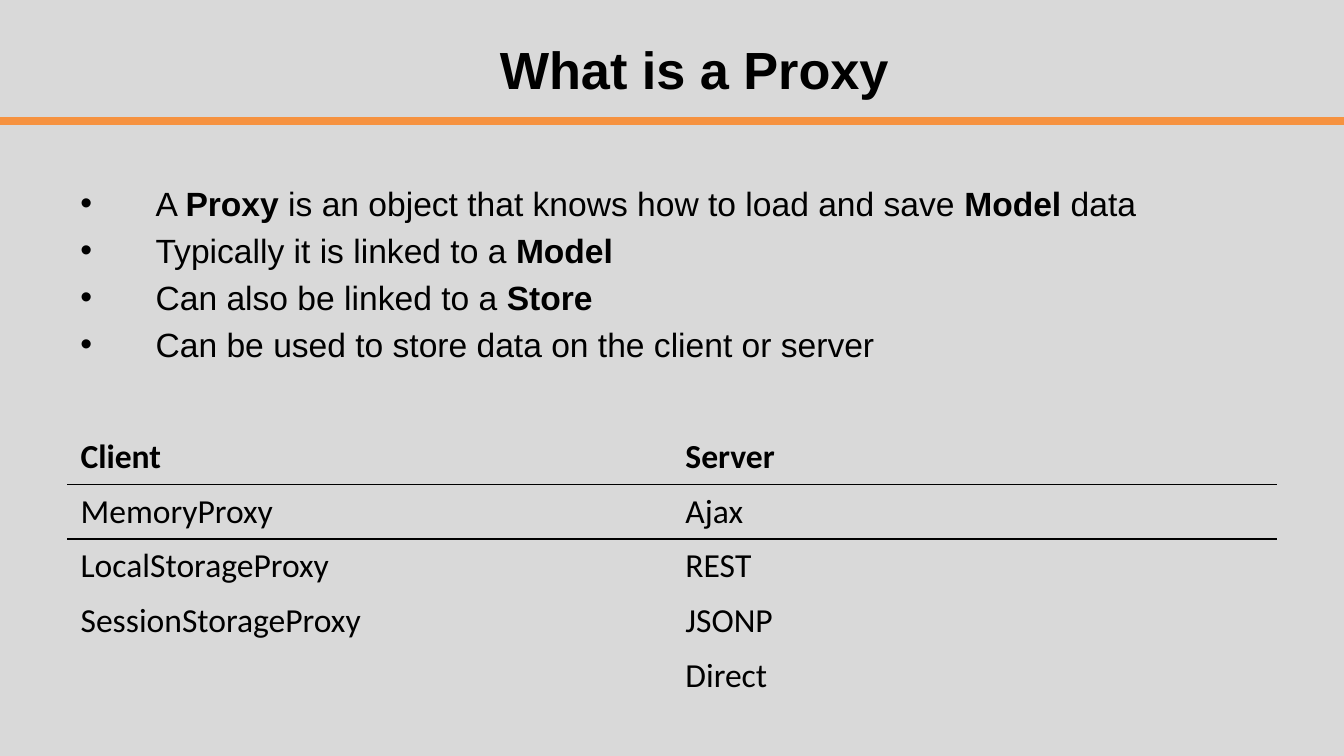
"""Build a slide that explains what a Proxy is."""
from lxml.etree import SubElement
from pptx import Presentation
from pptx.dml.color import RGBColor
from pptx.enum.shapes import MSO_CONNECTOR
from pptx.enum.text import MSO_ANCHOR, PP_ALIGN
from pptx.oxml.ns import qn
from pptx.util import Inches, Pt

COLORS = {"background": "D9D9D9", "text": "000000", "accent": "F69240"}
TITLE_FONT = {"name": "Arial", "size": Pt(28), "bold": True}
BODY_FONT = {"name": "Arial", "size": Pt(18), "bold": False}
TABLE_FONT = {"name": "Calibri", "size": Pt(18), "bold": False}
NO_STYLE_NO_GRID = "{2D5ABB26-0587-4C30-8999-92F81FD0307C}"

BULLETS = [
    [("A ", False), ("Proxy ", True),
     ("is an object that knows how to load and save ", False),
     ("Model", True), (" data", False)],
    [("Typically it is linked to a ", False), ("Model", True)],
    [("Can also be linked to a ", False), ("Store", True)],
    [("Can be used to store data on the client or server", False)],
]
PROXIES = [
    ("Client", "Server"),
    ("MemoryProxy", "Ajax"),
    ("LocalStorageProxy", "REST"),
    ("SessionStorageProxy", "JSONP"),
    ("", "Direct"),
]
ROW_BORDERS = {0: "lnB", 1: "lnT"}


def set_attributes(target, values):
    """Set each named attribute on the target."""
    for name, value in values.items():
        setattr(target, name, value)


def add_run(paragraph, text, font_values):
    """Add one formatted run to a paragraph."""
    run = paragraph.add_run()
    run.text = text
    set_attributes(run.font, font_values)
    run.font.color.rgb = RGBColor.from_string(COLORS["text"])


def add_text_frame(slide, left, top, width, height, anchor):
    """Add a wrapping text box and return its text frame."""
    box = slide.shapes.add_textbox(
        Inches(left), Inches(top), Inches(width), Inches(height))
    set_attributes(box.text_frame, {"word_wrap": True, "vertical_anchor": anchor})
    return box.text_frame


def add_title(slide, text):
    """Add the centred slide title."""
    frame = add_text_frame(slide, 1, 0.23, 8.33, 0.56, MSO_ANCHOR.MIDDLE)
    paragraph = frame.paragraphs[0]
    paragraph.alignment = PP_ALIGN.CENTER
    add_run(paragraph, text, TITLE_FONT)


def add_rule(slide, top):
    """Add the accent line across the slide."""
    rule = slide.shapes.add_connector(
        MSO_CONNECTOR.STRAIGHT, 0, Inches(top), Inches(10), Inches(top))
    rule.line.color.rgb = RGBColor.from_string(COLORS["accent"])
    rule.line.width = Pt(4.5)
    SubElement(rule.element.spPr, qn("a:effectLst"))


def add_bullets(slide, bullets):
    """Add the bulleted list with bold key words."""
    frame = add_text_frame(slide, 0.5, 1.31, 9, 3.71, MSO_ANCHOR.TOP)
    for index, runs in enumerate(bullets):
        paragraph = frame.add_paragraph() if index else frame.paragraphs[0]
        paragraph.space_before = Pt(3.6)
        properties = paragraph._p.get_or_add_pPr()
        properties.set("marL", str(Inches(0.56)))
        properties.set("indent", str(-Inches(0.56)))
        SubElement(properties, qn("a:buFont"), typeface="Arial")
        SubElement(properties, qn("a:buChar"), char="•")
        for text, bold in runs:
            add_run(paragraph, text, {**BODY_FONT, "bold": bold})


def add_cell_border(cell, side):
    """Draw a thin border on one side of a cell."""
    properties = cell._tc.get_or_add_tcPr()
    border = properties.makeelement(qn(f"a:{side}"), {"w": str(Pt(1))})
    fill = SubElement(border, qn("a:solidFill"))
    SubElement(fill, qn("a:srgbClr"), val=COLORS["text"])
    properties.insert(0, border)


def add_table(slide, rows):
    """Add the table of client and server proxies."""
    height = Inches(2.03)
    table = slide.shapes.add_table(
        len(rows), len(rows[0]), Inches(0.5), Inches(3.2),
        Inches(9), height).table
    set_attributes(table, {"first_row": False, "horz_banding": False})
    table._tbl.tblPr.find(qn("a:tableStyleId")).text = NO_STYLE_NO_GRID
    for row_index, row in enumerate(rows):
        for column_index, text in enumerate(row):
            cell = table.cell(row_index, column_index)
            cell.fill.background()
            if text:
                add_run(cell.text_frame.paragraphs[0], text,
                        {**TABLE_FONT, "bold": row_index == 0})
            if row_index in ROW_BORDERS:
                add_cell_border(cell, ROW_BORDERS[row_index])


def main():
    """Build and save the presentation."""
    presentation = Presentation()
    set_attributes(presentation, {"slide_width": Inches(10),
                                  "slide_height": Inches(10) * 9 // 16})
    slide = presentation.slides.add_slide(presentation.slide_layouts[6])
    background = slide.background.fill
    background.solid()
    background.fore_color.rgb = RGBColor.from_string(COLORS["background"])
    add_title(slide, "What is a Proxy")
    add_bullets(slide, BULLETS)
    add_rule(slide, 0.9)
    add_table(slide, PROXIES)
    presentation.save("out.pptx")


main()
